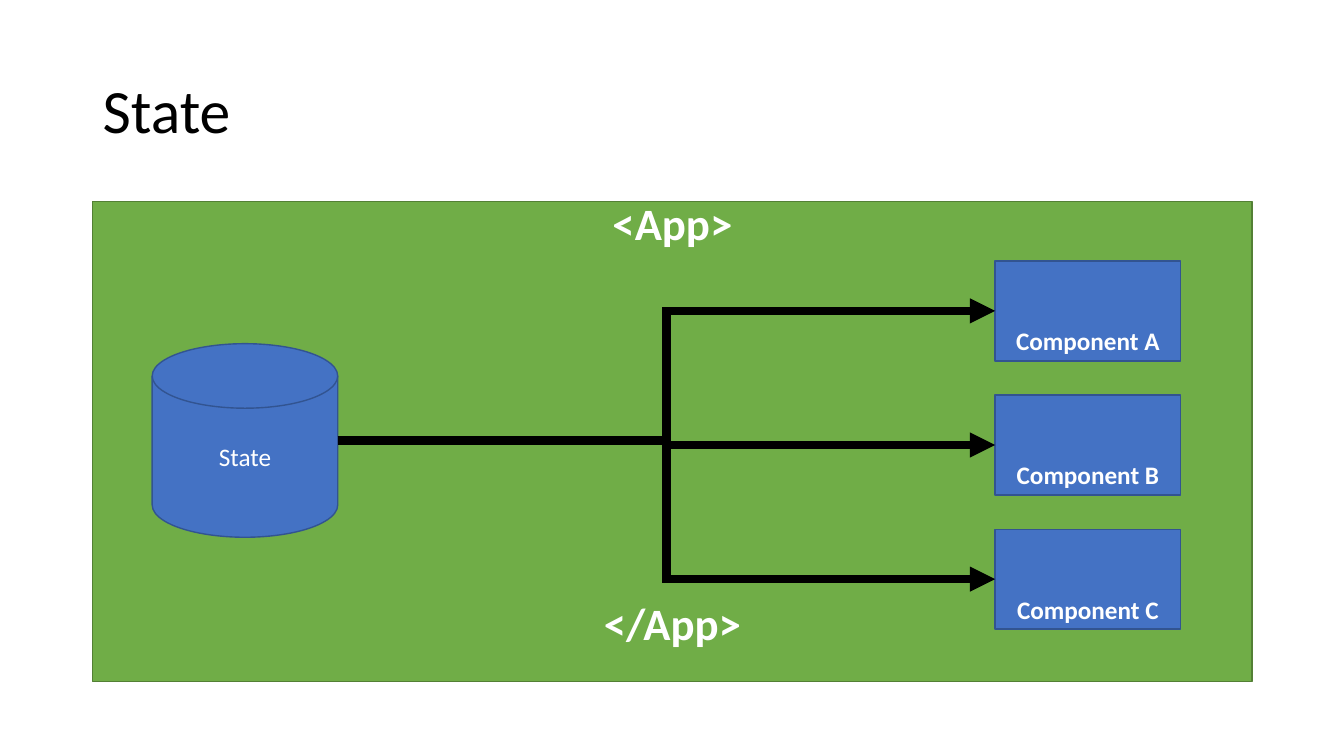
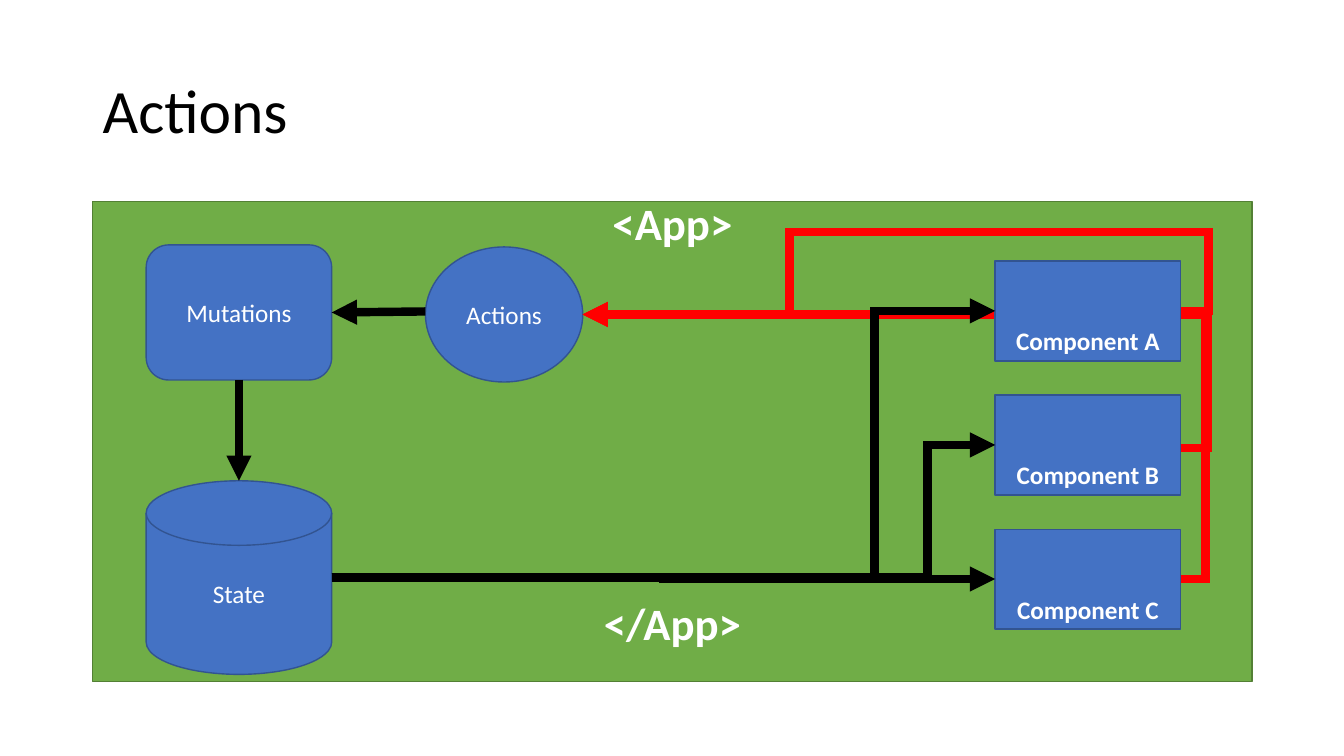
from dataclasses import dataclass
from enum import IntEnum

import pptx
import pptx.dml.color
import pptx.enum.shapes
import pptx.enum.text
import pptx.oxml
import pptx.oxml.ns
import pptx.util
from lxml import etree

KIND = pptx.enum.shapes.MSO_SHAPE
LINK = pptx.enum.shapes.MSO_CONNECTOR
ALIGN = pptx.enum.text.PP_ALIGN
ANCHOR = pptx.enum.text.MSO_ANCHOR
PX = 9144  # EMU in one px, 100 px to the inch


@dataclass(frozen=True)
class Theme:
    font: str = "Calibri"
    black: str = "000000"
    white: str = "FFFFFF"
    red: str = "FF0000"
    green: str = "70AD47"
    green_edge: str = "538035"
    blue: str = "4472C4"
    blue_edge: str = "325491"
    title: int = 44
    tag: int = 32
    label: int = 18
    edge: int = 1
    wire: int = 6


THEME = Theme()


class Side(IntEnum):
    TOP = 0
    LEFT = 1
    BOTTOM = 2
    RIGHT = 3


# Site numbers of shapes that have more than four, in the order of Side
SITES = {
    KIND.FLOWCHART_MAGNETIC_DISK: (1, 2, 3, 4),
    KIND.OVAL: (0, 2, 4, 6),
}


@dataclass(frozen=True)
class Box:
    text: str
    left: int
    top: int
    width: int
    height: int
    kind: KIND = KIND.RECTANGLE
    card: bool = False

    def spot(self, side: Side) -> tuple[float, float]:
        """Middle of one side."""
        return {
            Side.TOP: (self.left + self.width / 2, self.top),
            Side.LEFT: (self.left, self.top + self.height / 2),
            Side.BOTTOM: (self.left + self.width / 2, self.top + self.height),
            Side.RIGHT: (self.left + self.width, self.top + self.height / 2),
        }[side]


@dataclass(frozen=True)
class End:
    box: Box
    side: Side
    shift: int = 0  # px down from the middle; a shifted end stays free

    def spot(self) -> tuple[float, float]:
        x, y = self.box.spot(self.side)
        return x, y + self.shift


@dataclass(frozen=True)
class Wire:
    start: End
    end: End
    bends: tuple[int, ...] = ()  # x, y, x ... of the turns; none if straight
    color: str = THEME.black


def px(length: float) -> int:
    return pptx.util.Emu(round(length * PX))


def rgb(code: str) -> pptx.dml.color.RGBColor:
    return pptx.dml.color.RGBColor.from_string(code)


def write(para, text: str, *, size: int, color: str, bold: bool = False,
          align=ALIGN.CENTER, space: float = 0, pitch: float = 1.0) -> None:
    para.alignment = align
    para.space_before = pptx.util.Pt(space)
    para.line_spacing = pitch
    run = para.add_run()
    run.text = text
    run.font.name = THEME.font
    run.font.size = pptx.util.Pt(size)
    run.font.bold = bold
    run.font.color.rgb = rgb(color)


def block(slide, box: Box, fill: str, edge: str, anchor):
    shape = slide.shapes.add_shape(
        box.kind, px(box.left), px(box.top), px(box.width), px(box.height))
    shape.shadow.inherit = False
    shape.fill.solid()
    shape.fill.fore_color.rgb = rgb(fill)
    shape.line.color.rgb = rgb(edge)
    shape.line.width = pptx.util.Pt(THEME.edge)
    shape.text_frame.word_wrap = True
    shape.text_frame.vertical_anchor = anchor
    return shape


def node(slide, box: Box):
    anchor = ANCHOR.BOTTOM if box.card else ANCHOR.MIDDLE
    shape = block(slide, box, THEME.blue, THEME.blue_edge, anchor)
    write(shape.text_frame.paragraphs[0], box.text, size=THEME.label,
          color=THEME.white, bold=box.card)
    return shape


def frame(slide, title: str) -> None:
    """Title and the green app panel."""
    head = slide.shapes.add_textbox(px(92), px(40), px(1150), px(145))
    head.text_frame.word_wrap = True
    head.text_frame.vertical_anchor = ANCHOR.MIDDLE
    write(head.text_frame.paragraphs[0], title, size=THEME.title,
          color=THEME.black, align=ALIGN.LEFT, pitch=0.9)

    panel = block(slide, Box("", 92, 200, 1150, 476), THEME.green,
                  THEME.green_edge, ANCHOR.TOP)
    text = panel.text_frame
    for para, tag, space in ((text.paragraphs[0], "<App>", 10),
                             (text.add_paragraph(), "</App>", 254.5)):
        write(para, tag, size=THEME.tag, color=THEME.white, bold=True,
              space=space, pitch=0.8)


def bend(line, wire: Wire) -> None:
    """Put the turns of an elbow at the given places."""
    first, last = wire.start.spot(), wire.end.spot()
    geom = line._element.spPr.prstGeom
    geom.set("prst", f"bentConnector{len(wire.bends) + 2}")
    guides = geom.get_or_add_avLst()
    for i, place in enumerate(wire.bends):
        axis = i % 2
        part = (place - first[axis]) / (last[axis] - first[axis])
        etree.SubElement(guides, pptx.oxml.ns.qn("a:gd"),
                         name=f"adj{i + 1}", fmla=f"val {round(part * 100000)}")


def join(line, wire: Wire, shapes: dict) -> None:
    """Tie the unshifted ends to their shapes."""
    props = line._element.nvCxnSpPr.cNvCxnSpPr
    for end, tie, tag in ((wire.start, line.begin_connect, "a:stCxn"),
                          (wire.end, line.end_connect, "a:endCxn")):
        if end.shift:
            continue
        tie(shapes[end.box], int(end.side))
        if end.box.kind in SITES:
            site = SITES[end.box.kind][end.side]
            props.find(pptx.oxml.ns.qn(tag)).set("idx", str(site))


def link(slide, wire: Wire, shapes: dict) -> None:
    kind = LINK.ELBOW if wire.bends else LINK.STRAIGHT
    line = slide.shapes.add_connector(
        kind, *(px(n) for n in wire.start.spot() + wire.end.spot()))
    if wire.bends:
        bend(line, wire)
    join(line, wire, shapes)
    line.line.color.rgb = rgb(wire.color)
    line.line.width = pptx.util.Pt(THEME.wire)
    # Sharp corners, arrowhead, no shadow
    stroke = line.line._get_or_add_ln()
    etree.SubElement(stroke, pptx.oxml.ns.qn("a:miter"), lim="800000")
    etree.SubElement(stroke, pptx.oxml.ns.qn("a:tailEnd"), type="triangle")
    etree.SubElement(line._element.spPr, pptx.oxml.ns.qn("a:effectLst"))


def scene(deck, title: str, boxes: list[Box], wires: list[Wire],
          back: list[Wire], front: Box) -> None:
    """One slide; back wires pass behind the front box."""
    slide = deck.slides.add_slide(deck.slide_layouts[6])
    frame(slide, title)
    shapes = {box: node(slide, box) for box in boxes}
    for wire in back:
        link(slide, wire, shapes)
    slide.shapes._spTree.append(shapes[front]._element)
    for wire in wires:
        link(slide, wire, shapes)


def store(left: int, top: int) -> Box:
    return Box("State", left, top, 184, 192, KIND.FLOWCHART_MAGNETIC_DISK)


def main() -> None:
    deck = pptx.Presentation()
    deck.slide_width, deck.slide_height = px(1333), px(750)

    cards = [Box(f"Component {name}", 987, 259 + 133 * i, 184, 99, card=True)
             for i, name in enumerate("ABC")]
    card_a, card_b, card_c = cards

    # State feeds every component
    state = store(151, 341)
    feeds = [Wire(End(state, Side.RIGHT), End(card, Side.LEFT), (661,))
             for card in (card_a, card_c, card_b)]
    scene(deck, "State", [state, *cards], feeds, [], card_a)

    # Components call actions, which lead through mutations to state
    state = store(145, 477)
    change = Box("Mutations", 145, 243, 184, 134, KIND.ROUNDED_RECTANGLE)
    action = Box("Actions", 422, 245, 156, 134, KIND.OVAL)
    calls = [
        Wire(End(card, Side.RIGHT, shift), End(action, Side.RIGHT), bends,
             THEME.red)
        for card, shift, bends in ((card_a, 0, (1199, 230, 783)),
                                   (card_b, 3, (1198,)),
                                   (card_c, 0, (1196,)))
    ]
    feeds = [Wire(End(state, Side.RIGHT), End(card, Side.LEFT), (x,))
             for card, x in ((card_c, 658), (card_b, 920), (card_a, 867))]
    steps = [
        Wire(End(change, Side.BOTTOM), End(state, Side.TOP)),
        Wire(End(action, Side.LEFT, -3), End(change, Side.RIGHT)),
    ]
    scene(deck, "Actions", [state, change, action, *cards], feeds + steps,
          calls, card_a)

    deck.save("out.pptx")


if __name__ == "__main__":
    main()
